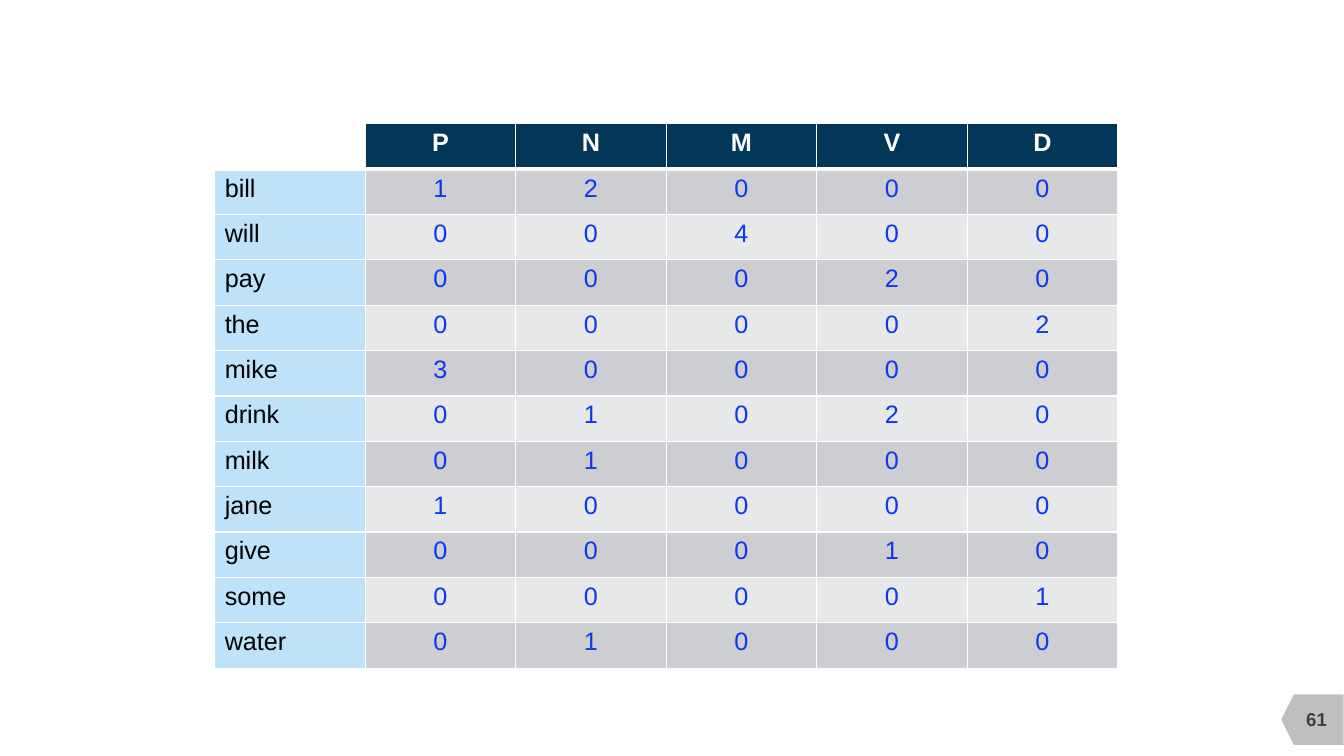
from dataclasses import dataclass

from lxml import etree
from pptx import Presentation
from pptx import util as u
from pptx.dml.color import RGBColor
from pptx.enum import shapes, text
from pptx.oxml import ns

WHITE = RGBColor(0xFF, 0xFF, 0xFF)
BLACK = RGBColor(0x00, 0x00, 0x00)
NAVY = RGBColor(0x02, 0x37, 0x59)
SKY = RGBColor(0xBE, 0xE2, 0xF8)
BLUE = RGBColor(0x0D, 0x38, 0xF1)
BANDS = (RGBColor(0xCC, 0xCE, 0xD1), RGBColor(0xE7, 0xE8, 0xEA))
TAG_GREY = RGBColor(0xBF, 0xBF, 0xBF)
NUMBER_GREY = RGBColor(0x40, 0x40, 0x40)

FONT = "Arial"
TAGS = "PNMVD"


@dataclass(frozen=True)
class CellStyle:
    fill: RGBColor
    color: RGBColor
    bold: bool = False
    align: text.PP_ALIGN = text.PP_ALIGN.CENTER


@dataclass(frozen=True)
class WordCounts:
    word: str
    counts: tuple[int, ...]


HEADER = CellStyle(NAVY, WHITE, bold=True)
WORD = CellStyle(SKY, BLACK, align=text.PP_ALIGN.LEFT)
COUNTS = tuple(CellStyle(band, BLUE) for band in BANDS)

ROWS = (
    WordCounts("bill", (1, 2, 0, 0, 0)),
    WordCounts("will", (0, 0, 4, 0, 0)),
    WordCounts("pay", (0, 0, 0, 2, 0)),
    WordCounts("the", (0, 0, 0, 0, 2)),
    WordCounts("mike", (3, 0, 0, 0, 0)),
    WordCounts("drink", (0, 1, 0, 2, 0)),
    WordCounts("milk", (0, 1, 0, 0, 0)),
    WordCounts("jane", (1, 0, 0, 0, 0)),
    WordCounts("give", (0, 0, 0, 1, 0)),
    WordCounts("some", (0, 0, 0, 0, 1)),
    WordCounts("water", (0, 1, 0, 0, 0)),
)


def format_paragraph(paragraph, size: float, color: RGBColor, bold: bool,
                     align: text.PP_ALIGN) -> None:
    paragraph.alignment = align
    for run in paragraph.runs:
        run.font.name = FONT
        run.font.size = u.Pt(size)
        run.font.bold = bold
        run.font.color.rgb = color


def add_borders(cell, top: float, bottom: float) -> None:
    """Draw white borders; must run before the cell gets its fill."""
    properties = cell._tc.get_or_add_tcPr()
    for side, width in (("L", 1), ("R", 1), ("T", top), ("B", bottom)):
        line = etree.SubElement(properties, ns.qn(f"a:ln{side}"), w=str(u.Pt(width)))
        fill = etree.SubElement(line, ns.qn("a:solidFill"))
        etree.SubElement(fill, ns.qn("a:srgbClr"), val=str(WHITE))


def fill_cell(cell, content: str, style: CellStyle) -> None:
    cell.fill.solid()
    cell.fill.fore_color.rgb = style.fill
    cell.text_frame.text = content
    format_paragraph(cell.text_frame.paragraphs[0], 18, style.color, style.bold, style.align)


def add_count_table(slide) -> None:
    table = slide.shapes.add_table(
        len(ROWS) + 1, len(TAGS) + 1,
        u.Cm(5.41), u.Cm(3.12), u.Cm(22.76), u.Cm(13.72)).table
    for row_index, row in enumerate(table.rows):
        for cell in row.cells:
            add_borders(cell, top=3 if row_index == 1 else 1,
                        bottom=3 if row_index == 0 else 1)

    table.cell(0, 0).fill.background()
    for column, tag in enumerate(TAGS, start=1):
        fill_cell(table.cell(0, column), tag, HEADER)
    for row_index, entry in enumerate(ROWS, start=1):
        fill_cell(table.cell(row_index, 0), entry.word, WORD)
        style = COUNTS[(row_index - 1) % len(COUNTS)]
        for column, count in enumerate(entry.counts, start=1):
            fill_cell(table.cell(row_index, column), str(count), style)


def add_page_number(slide, number: int) -> None:
    tag = slide.shapes.add_shape(
        shapes.MSO_SHAPE.FLOWCHART_OFFPAGE_CONNECTOR,
        u.Cm(32.44), u.Cm(17.35), u.Cm(1.27), u.Cm(1.57))
    tag.rotation = 90
    tag.shadow.inherit = False
    tag.fill.solid()
    tag.fill.fore_color.rgb = TAG_GREY
    tag.line.fill.background()

    box = slide.shapes.add_textbox(u.Cm(32.33), u.Cm(17.6), u.Cm(1.7), u.Cm(1.02))
    frame = box.text_frame
    frame.word_wrap = True
    frame.vertical_anchor = text.MSO_ANCHOR.MIDDLE
    frame.text = str(number)
    format_paragraph(frame.paragraphs[0], 13.3, NUMBER_GREY, True, text.PP_ALIGN.CENTER)


def main() -> None:
    presentation = Presentation()
    presentation.slide_width = u.Cm(33.87)
    presentation.slide_height = u.Cm(19.05)
    slide = presentation.slides.add_slide(presentation.slide_layouts[6])
    add_page_number(slide, 61)
    add_count_table(slide)
    presentation.save("out.pptx")


if __name__ == "__main__":
    main()
